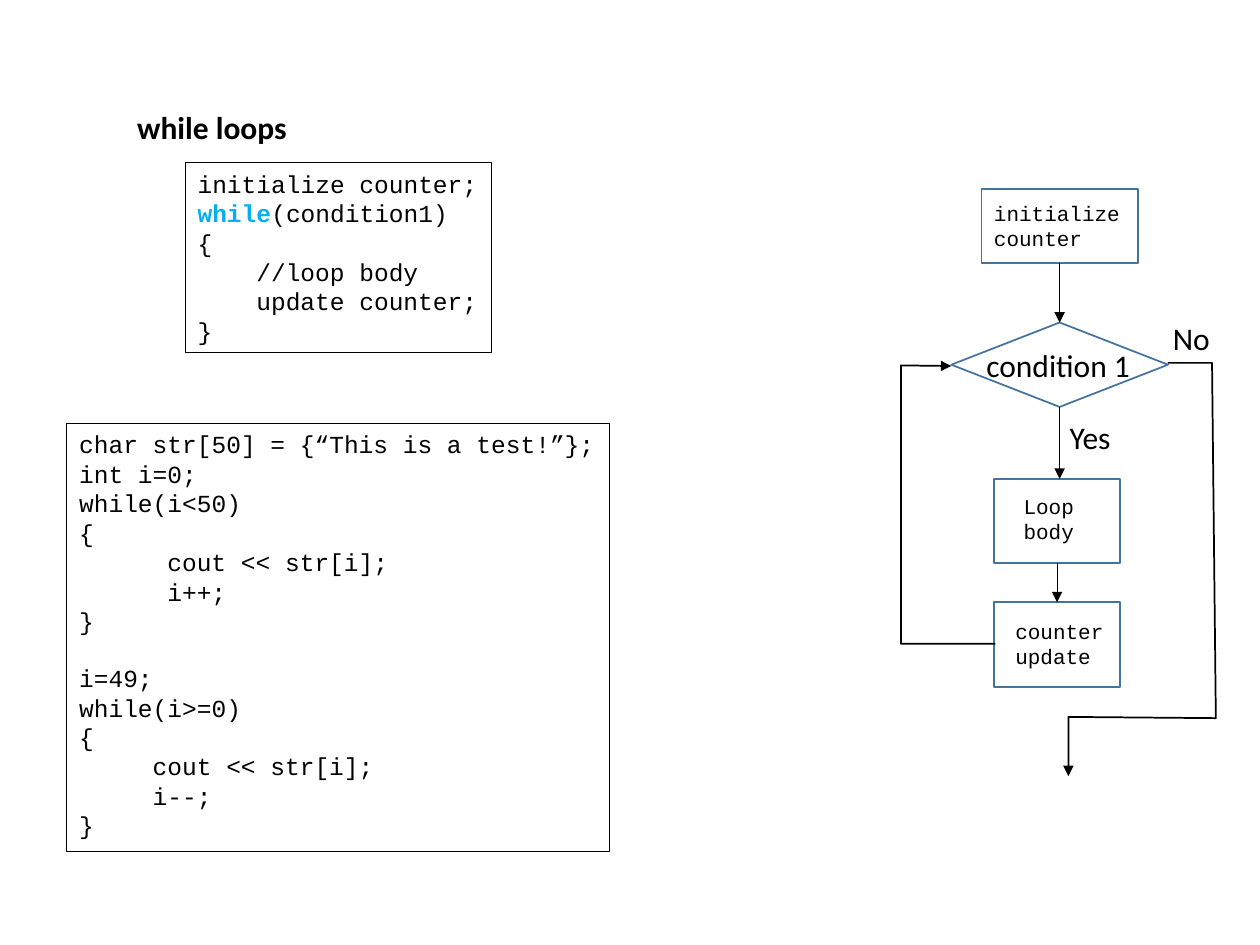
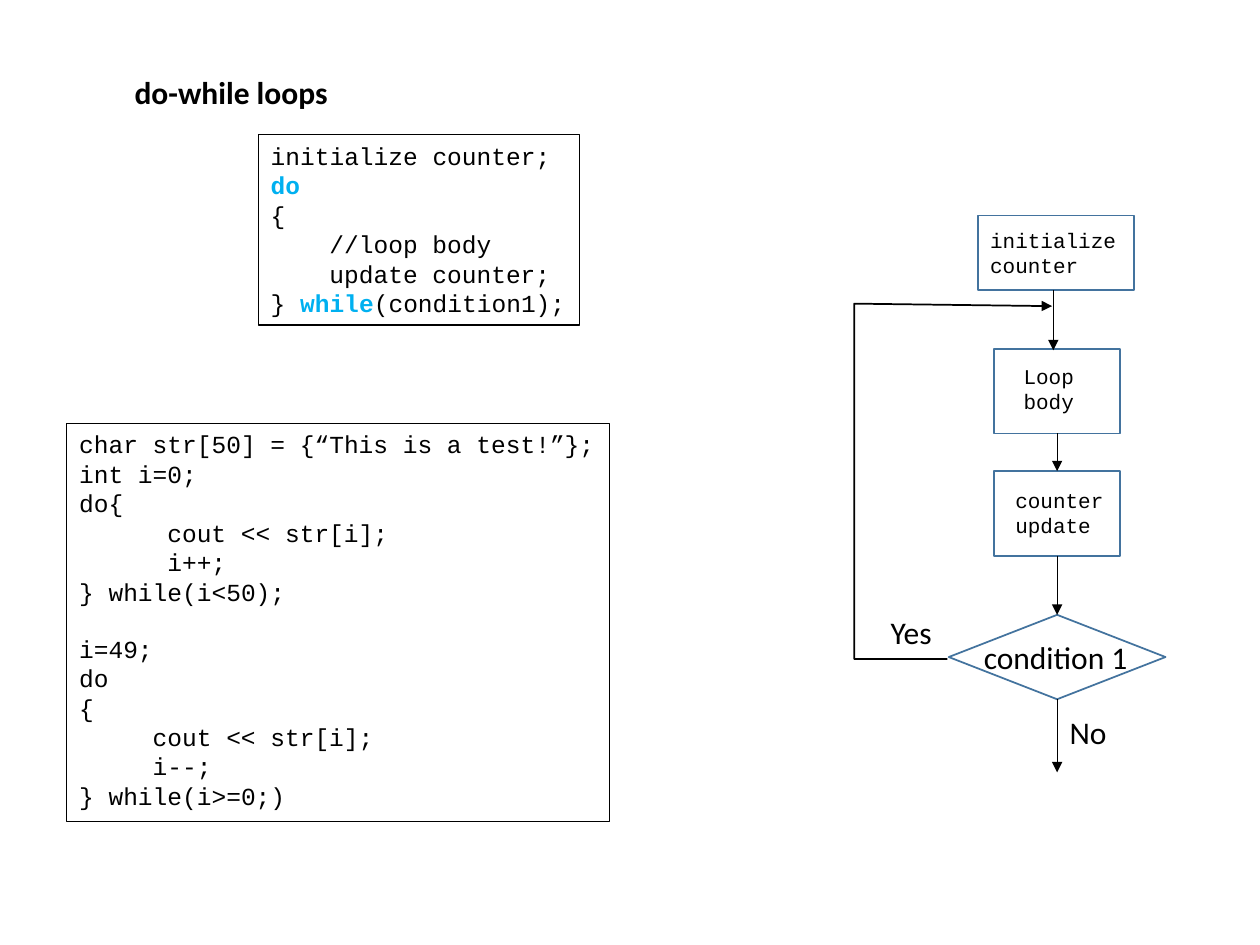
from lxml.etree import SubElement
from pptx import Presentation
from pptx.dml.color import RGBColor
from pptx.enum.shapes import MSO_CONNECTOR as Link, MSO_SHAPE as Form
from pptx.enum.text import MSO_AUTO_SIZE as Fit
from pptx.oxml.ns import qn
from pptx.util import Inches, Pt

WIDE, HIGH = Inches(10), Inches(7.5)
CELL = WIDE // 100
BLACK, STEEL, CYAN = "000000", "43739E", "00B0F0"
SANS, MONO = "Calibri", "Courier New"
GLYPH, LEAD = 0.6, 1.13

KINDS = {
    "start": (Form.FLOWCHART_PROCESS, 12.4, 5.9, "initialize\ncounter", MONO, 12, (0, 0.45, 12.4, 5)),
    "test": (Form.FLOWCHART_DECISION, 17.2, 6.7, "condition 1", SANS, 18, (1.8, 1.35, 13.6, 4)),
    "body": (Form.FLOWCHART_PROCESS, 10, 6.7, "Loop\nbody", MONO, 12, (1.35, 0.65, 7.4, 5)),
    "update": (Form.FLOWCHART_PROCESS, 10, 6.7, "counter\nupdate", MONO, 12, (0.7, 0.8, 9.3, 5)),
}

WHILE_FORM = """initialize counter;
*while*(condition1)
{
    //loop body
    update counter;
}"""

WHILE_CODE = """char str[50] = {“This is a test!”};
int i=0;
while(i<50)
{
      cout << str[i];
      i++;
}

i=49;
while(i>=0)
{
     cout << str[i];
     i--;
}"""

DO_FORM = """initialize counter;
*do*
{
    //loop body
    update counter;
}* while*(condition1);"""

DO_CODE = """char str[50] = {“This is a test!”};
int i=0;
do{
      cout << str[i];
      i++;
} while(i<50);

i=49;
do
{
     cout << str[i];
     i--;
} while(i>=0;)"""

PAGES = [
    {
        "title": ("while loops", (9.9, 8.1, 14, 4)),
        "code": [(WHILE_FORM, (14.7, 12.9, 24.3, 15.1)), (WHILE_CODE, (5.3, 33.6, 43.1, 34))],
        "nodes": {"start": (77.9, 15), "test": (75.5, 25.6), "body": (78.9, 38), "update": (78.9, 47.8)},
        "links": [("start", "test"), ("test", (84.1, 38)), ("body", "update")],
        "bends": [
            [(79, 51.1), (71.5, 51.1), (71.5, 29), (75.5, 29.05)],
            [(92.7, 28.8), (96.2, 28.8), (96.5, 57), (84.8, 56.9), (84.8, 61.6)],
        ],
        "tags": [("Yes", (83.9, 32.7, 5.3, 4)), ("No", (92.1, 24.8, 5, 4))],
    },
    {
        "title": ("do-while loops", (9.7, 5.3, 17.4, 4)),
        "code": [(DO_FORM, (20.5, 10.7, 25.5, 15.1)), (DO_CODE, (5.3, 33.6, 43.1, 31.6))],
        "nodes": {"start": (77.6, 17.1), "body": (78.9, 27.7), "update": (78.9, 37.4), "test": (75.3, 48.8)},
        "links": [((83.6, 23), (83.6, 27.8)), ("body", "update"), ("update", "test"), ("test", (83.9, 61.3))],
        "bends": [[(75.2, 52.3), (67.8, 52.3), (67.8, 24.1), (83.5, 24.3)]],
        "tags": [("Yes", (69.7, 48.2, 5.4, 4)), ("No", (83.9, 56.1, 5, 4))],
    },
]


def ink(code):
    return RGBColor.from_string(code)


def put(slide, text, place, font, size, bold=False):
    box = slide.shapes.add_textbox(*(int(n * CELL) for n in place))
    frame = box.text_frame
    frame.word_wrap = size == 12
    frame.auto_size = Fit.SHAPE_TO_FIT_TEXT
    para = frame.paragraphs[0]
    for part, block in enumerate(text.split("\n\n")):
        for row, line in enumerate(block.split("\n")):
            if part or row:
                para = frame.add_paragraph()
            if part and not row:
                para.space_before = Pt(size * LEAD)
            code = line.lstrip()
            if code != line:
                inset = Pt((len(line) - len(code)) * size * GLYPH)
                para._p.get_or_add_pPr().set("marL", str(inset))
            para.font.name, para.font.size, para.font.bold = font, Pt(size), bold
            para.font.color.rgb = ink(BLACK)
            for turn, piece in enumerate(code.split("*")):
                if piece:
                    run = para.add_run()
                    run.text = piece
                    if turn % 2:
                        run.font.bold = True
                        run.font.color.rgb = ink(CYAN)
    return box


deck = Presentation()
deck.slide_width, deck.slide_height = WIDE, HIGH

for page in PAGES:
    slide = deck.slides.add_slide(deck.slide_layouts[6])
    put(slide, *page["title"], SANS, 18, True)
    for text, place in page["code"]:
        box = put(slide, text, place, MONO, 14)
        box.line.color.rgb = ink(BLACK)
        box.line.width = Pt(0.75)

    nodes = {}
    for name, (left, top) in page["nodes"].items():
        form, width, height, label, font, size, (dx, dy, wide, high) = KINDS[name]
        node = slide.shapes.add_shape(form, *(int(n * CELL) for n in (left, top, width, height)))
        node.shadow.inherit = False
        node.fill.background()
        node.line.color.rgb = ink(STEEL)
        node.line.width = Pt(1)
        nodes[name] = node
        put(slide, label, (left + dx, top + dy, wide, high), font, size)

    arrows = []
    for start, end in page["links"]:
        first = (0, 0) if start in nodes else start
        last = (0, 0) if end in nodes else end
        arrow = slide.shapes.add_connector(Link.STRAIGHT, *(int(n * CELL) for n in first + last))
        if start in nodes:
            arrow.begin_connect(nodes[start], 2)
        if end in nodes:
            arrow.end_connect(nodes[end], 0)
        arrows.append((arrow, 0.5))
    for bend in page["bends"]:
        spots = [(int(x * CELL), int(y * CELL)) for x, y in bend]
        pen = slide.shapes.build_freeform(*spots[0])
        pen.add_line_segments(spots[1:], close=False)
        arrow = pen.convert_to_shape()
        arrow.fill.background()
        arrows.append((arrow, 1))
    for arrow, weight in arrows:
        arrow.line.color.rgb = ink(BLACK)
        arrow.line.width = Pt(weight)
        props = arrow.element.spPr
        SubElement(props.find(qn("a:ln")), qn("a:tailEnd"), type="triangle")
        SubElement(props, qn("a:effectLst"))

    for text, place in page["tags"]:
        put(slide, text, place, SANS, 18)

deck.save("out.pptx")
